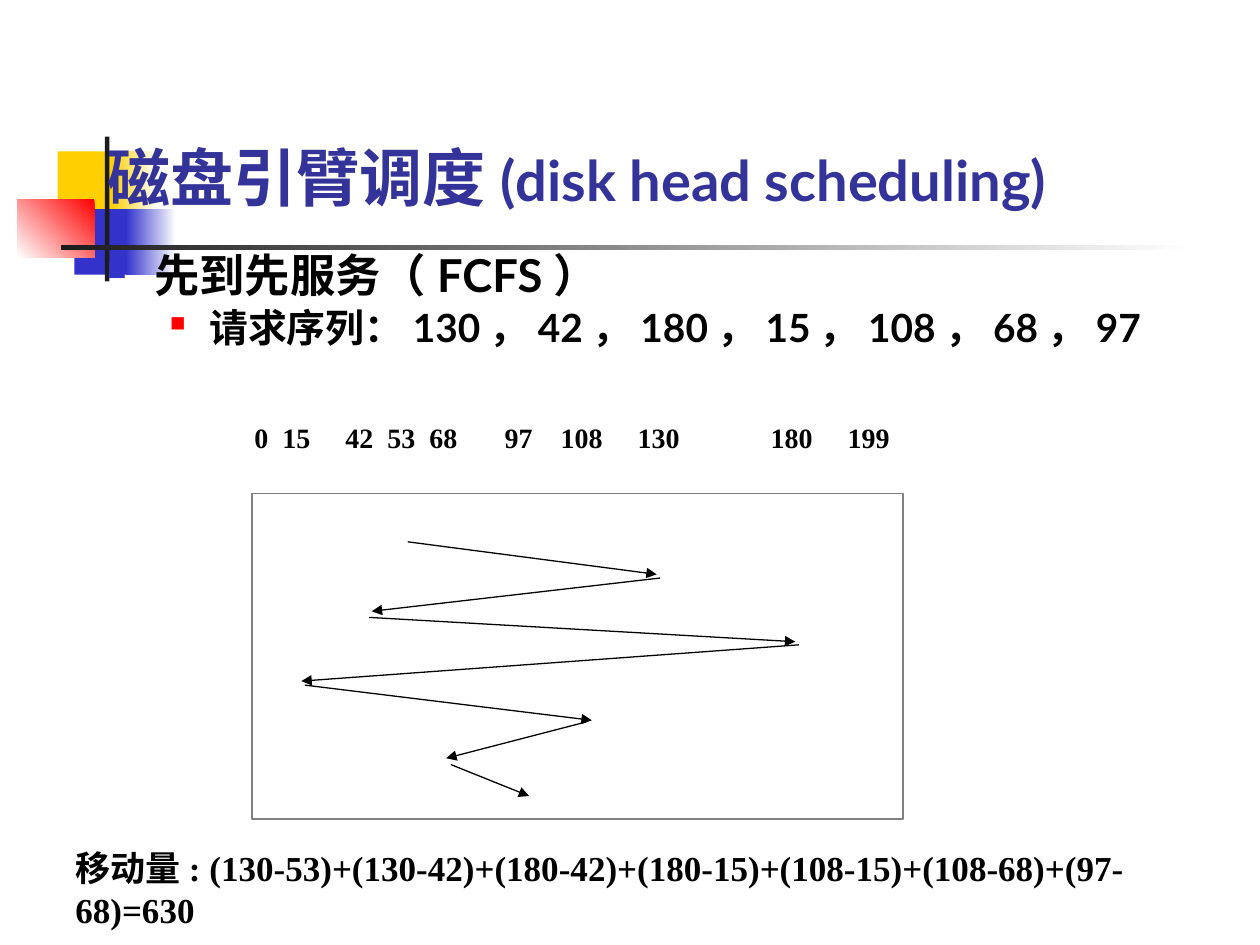
from lxml import etree
from pptx import Presentation
from pptx.dml.color import RGBColor
from pptx.enum.shapes import MSO_CONNECTOR, MSO_SHAPE
from pptx.enum.text import MSO_ANCHOR, MSO_AUTO_SIZE, PP_ALIGN
from pptx.oxml.ns import qn
from pptx.util import Pt

RECT = MSO_SHAPE.RECTANGLE
STRAIGHT = MSO_CONNECTOR.STRAIGHT
TOP, BOTTOM = MSO_ANCHOR.TOP, MSO_ANCHOR.BOTTOM
LEFT = PP_ALIGN.LEFT
NO_FIT = MSO_AUTO_SIZE.NONE
TITLE_ONLY = 5

SANS, SERIF = "Lato", "Times New Roman"
BLACK, WHITE, DARK, NAVY = "000000", "FFFFFF", "1C1C1C", "333399"
YELLOW, BLUE, RED, GRAY = "FFCF01", "3333CC", "FF0000", "808080"

# Decoration: left, top, width, height, colours, clockwise gradient angle
ORNAMENTS = [
    (33, 86.5, 34.5, 37.5, [YELLOW], None),
    (63.5, 86.5, 26, 37.5, [WHITE, YELLOW], 180),
    (42.5, 119.5, 33, 37.5, [BLUE], None),
    (72, 119.5, 28.5, 37.5, [WHITE, BLUE], 180),
    (10, 113.8, 44, 33.2, [RED, WHITE], 135),
    (60, 78, 2.5, 82.8, [DARK], None),
    (34.8, 140.2, 648, 2.5, [WHITE, DARK], 180),
]

# Track number and its distance from the start of the scale
TRACKS = [(0, 0), (15, 16), (42, 52), (53, 76), (68, 100),
          (97, 143), (108, 175), (130, 219), (180, 295), (199, 339)]

# Head movements in the order served: from x, y to x, y
HEAD_MOVES = [
    (233, 309.6, 375.3, 328.2),
    (377.3, 330.3, 212.4, 349.3),
    (211, 352.8, 454.5, 366.7),
    (456.5, 368.5, 172.2, 389.2),
    (174.2, 391.5, 338.2, 411.6),
    (334.8, 412.6, 255, 433.3),
    (257.6, 436.9, 302.4, 454.9),
]


def rgb(hex_color):
    return RGBColor.from_string(hex_color)


def set_all(target, values):
    for name, value in values.items():
        setattr(target, name, value)


def place(shape, left, top, width, height):
    set_all(shape, {"left": Pt(left), "top": Pt(top),
                    "width": Pt(width), "height": Pt(height)})


def add_child(parent, tag, **attributes):
    return etree.SubElement(parent, qn(tag), attributes)


def add_rect(slide, left, top, width, height):
    rect = slide.shapes.add_shape(RECT, Pt(left), Pt(top), Pt(width), Pt(height))
    rect.shadow.inherit = False
    return rect


def add_ornament(slide, left, top, width, height, colors, angle):
    rect = add_rect(slide, left, top, width, height)
    rect.line.fill.background()
    if angle is None:
        rect.fill.solid()
        rect.fill.fore_color.rgb = rgb(colors[0])
        return
    rect.fill.gradient()
    rect.fill.gradient_angle = 360 - angle
    for position, (stop, color) in enumerate(zip(rect.fill.gradient_stops, colors)):
        set_all(stop, {"position": position})
        stop.color.rgb = rgb(color)


def format_frame(frame, anchor=TOP, inset_x=7.2, inset_y=3.6):
    set_all(frame, {
        "word_wrap": True, "auto_size": NO_FIT, "vertical_anchor": anchor,
        "margin_left": Pt(inset_x), "margin_right": Pt(inset_x),
        "margin_top": Pt(inset_y), "margin_bottom": Pt(inset_y)})


def add_text_box(slide, left, top, width, height, **frame_format):
    box = slide.shapes.add_textbox(Pt(left), Pt(top), Pt(width), Pt(height))
    format_frame(box.text_frame, **frame_format)
    return box.text_frame


def add_run(paragraph, text, size, font=SANS, color=BLACK):
    run = paragraph.add_run()
    run.text = text
    set_all(run.font, {"size": Pt(size), "name": font, "bold": True})
    run.font.color.rgb = rgb(color)


def add_bullet(paragraph, color, percent, margin, hanging):
    properties = paragraph._p.get_or_add_pPr()
    properties.set("marL", str(Pt(margin)))
    properties.set("indent", str(-Pt(hanging)))
    add_child(add_child(properties, "a:buClr"), "a:srgbClr", val=color)
    add_child(properties, "a:buSzPct", val=str(percent * 1000))
    add_child(properties, "a:buChar", char="■")


def add_title(slide):
    title = slide.shapes.title
    place(title, 54, 36, 612, 90)
    format_frame(title.text_frame, anchor=BOTTOM)
    paragraph = title.text_frame.paragraphs[0]
    paragraph.alignment = LEFT
    add_run(paragraph, "磁盘引臂调度", 36, color=NAVY)
    add_run(paragraph, "(disk head scheduling)", 32, color=NAVY)
    # Bring the title in front of the decoration
    slide.shapes._spTree.append(title._element)


def add_requests(slide):
    frame = add_text_box(slide, 54, 144, 612, 72)
    policy, sequence = frame.paragraphs[0], frame.add_paragraph()
    set_all(policy, {"line_spacing": 0.8, "space_before": Pt(7)})
    add_bullet(policy, BLUE, 60, 27, 27)
    add_run(policy, "先到先服务（FCFS）", 25.9)
    set_all(sequence, {"line_spacing": 0.8, "space_before": Pt(6), "level": 1})
    add_bullet(sequence, RED, 55, 58.5, 22.5)
    add_run(sequence, "请求序列：130，42，180，15，108，68，97", 22.2)


def add_track_scale(slide):
    frame = add_text_box(slide, 144, 240.5, 371, 37.5, inset_x=1.44, inset_y=0)
    scale = frame.paragraphs[0]
    tabs = add_child(scale._p.get_or_add_pPr(), "a:tabLst")
    for _, distance in TRACKS[1:]:
        add_child(tabs, "a:tab", pos=str(Pt(distance)), algn="l")
    add_run(scale, "\t".join(str(track) for track, _ in TRACKS), 16, SERIF)


def add_disk_frame(slide):
    disk = add_rect(slide, 144, 282, 372, 186)
    disk.fill.background()
    disk.line.color.rgb = rgb(GRAY)
    disk.line.width = Pt(0.75)


def add_head_move(slide, *ends):
    move = slide.shapes.add_connector(STRAIGHT, *(Pt(value) for value in ends))
    move.line.color.rgb = rgb(BLACK)
    move.line.width = Pt(0.75)
    add_child(move.line._get_or_add_ln(), "a:tailEnd", type="triangle")
    add_child(move._element.spPr, "a:effectLst")


def add_total(slide):
    total = add_text_box(slide, 36, 480, 678, 55.5).paragraphs[0]
    total.space_before = Pt(12.5)
    add_run(total, "移动量: (130-53)+(130-42)+(180-42)+(180-15)+(108-15)"
                   "+(108-68)+(97-68)=630", 20, SERIF)


def main():
    deck = Presentation()
    set_all(deck, {"slide_width": Pt(720), "slide_height": Pt(540)})
    slide = deck.slides.add_slide(deck.slide_layouts[TITLE_ONLY])

    # Heading and request list
    for ornament in ORNAMENTS:
        add_ornament(slide, *ornament)
    add_title(slide)
    add_requests(slide)

    # Head movement diagram
    add_disk_frame(slide)
    add_track_scale(slide)
    for head_move in HEAD_MOVES:
        add_head_move(slide, *head_move)

    # Total distance
    add_total(slide)
    deck.save("out.pptx")


if __name__ == "__main__":
    main()
